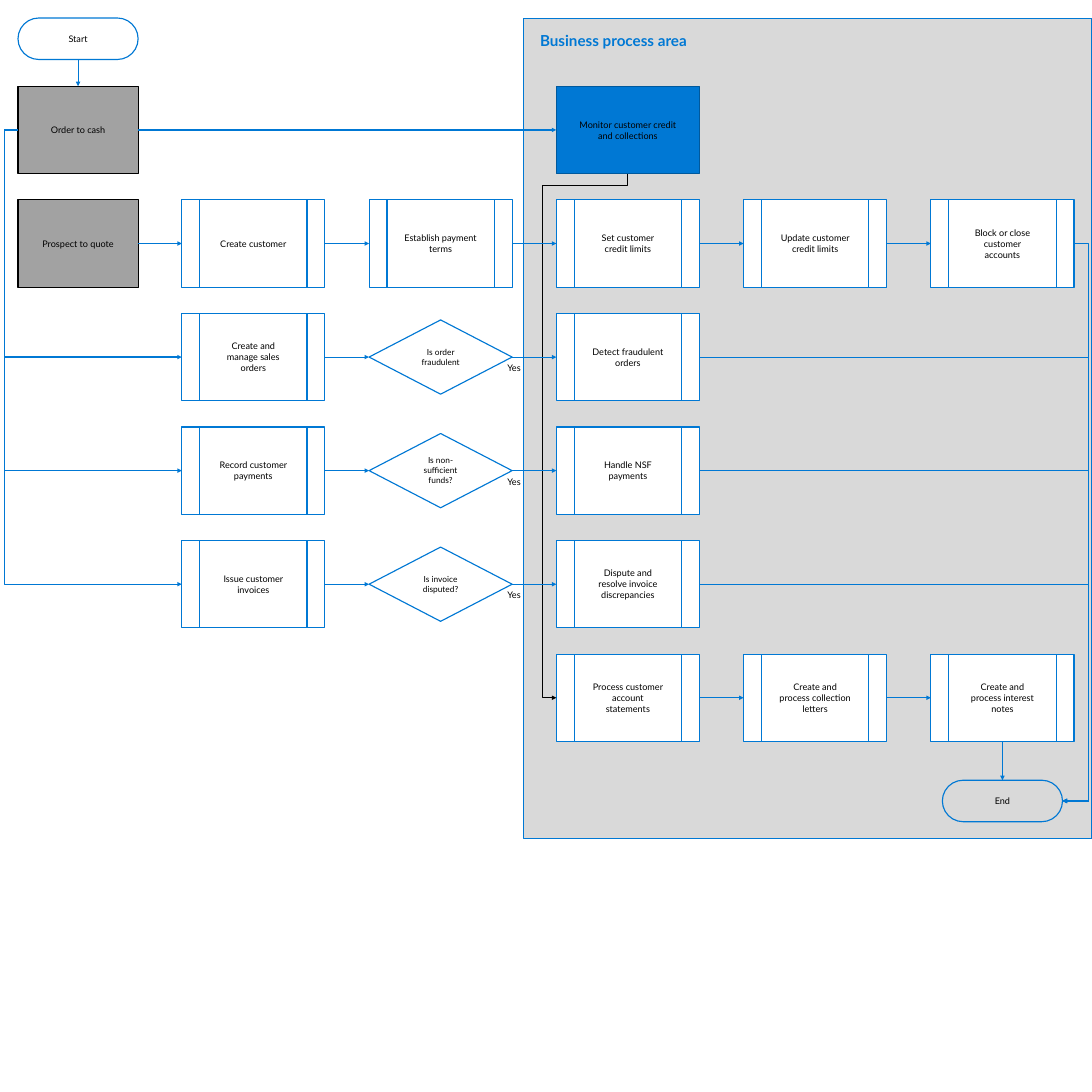
import lxml.etree
import pptx
import pptx.dml.color
import pptx.enum.shapes
import pptx.enum.text
import pptx.oxml.ns
import pptx.util

Inches = pptx.util.Inches
Kind = pptx.enum.shapes.MSO_SHAPE
Line = pptx.enum.shapes.MSO_CONNECTOR
Anchor = pptx.enum.text.MSO_ANCHOR
Align = pptx.enum.text.PP_ALIGN
qn = pptx.oxml.ns.qn

BLUE, DARK_BLUE, BLACK, WHITE = "0078D4", "00599D", "000000", "FFFFFF"
GRAY, LIGHT_GRAY = "A2A2A2", "D9D9D9"
STEP_W, STEP_H = 2.62, 1.6
SIDE_W, CAP_H, DIAMOND_H = 2.2, 0.76, 1.36
COLUMN_GAP, ROW_GAP = 3.43, 2.08
TOP, LEFT, BOTTOM, RIGHT = range(4)  # connection sites


def color(value):
    return pptx.dml.color.RGBColor.from_string(value)


def write(shape, text, size=12, ink=BLACK, bold=False, align=Align.CENTER,
          anchor=Anchor.MIDDLE, inset=(0.3, 0.24)):
    frame = shape.text_frame
    frame.word_wrap = True
    frame.vertical_anchor = anchor
    frame.margin_left = frame.margin_right = Inches(inset[0])
    frame.margin_top = frame.margin_bottom = Inches(inset[1])
    para = frame.paragraphs[0]
    para.alignment = align
    span = para.add_run()
    span.text = text
    span.font.name = "Lato"
    span.font.size = pptx.util.Pt(size)
    span.font.bold = bold
    span.font.color.rgb = color(ink)


def add_node(page, kind, box, text, fill=None, line=BLUE, **text_format):
    shape = page.shapes.add_shape(kind, *map(Inches, box))
    shape.shadow.inherit = False
    if fill:
        shape.fill.solid()
        shape.fill.fore_color.rgb = color(fill)
    else:
        shape.fill.background()
    shape.line.color.rgb = color(line)
    shape.line.width = pptx.util.Pt(1.5)
    write(shape, text, **text_format)
    return shape


def add_step(page, left, top, text):
    return add_node(page, Kind.FLOWCHART_PREDEFINED_PROCESS,
                    (left, top, STEP_W, STEP_H), text, fill=WHITE)


def add_decision(page, left, top, text):
    box = (left, top + (STEP_H - DIAMOND_H) / 2, STEP_W, DIAMOND_H)
    return add_node(page, Kind.DIAMOND, box, text, size=11)


def add_cap(page, left, top, text):
    """Place a rounded start or end node."""
    cap = add_node(page, Kind.ROUNDED_RECTANGLE, (left, top, SIDE_W, CAP_H), text)
    cap.adjustments[0] = 0.5
    return cap


def style_arrow(arrow, ink):
    arrow.line.color.rgb = color(ink)
    arrow.line.width = pptx.util.Pt(1.5)
    properties = arrow._element.spPr
    lxml.etree.SubElement(properties.find(qn("a:ln")), qn("a:tailEnd"), type="triangle")
    lxml.etree.SubElement(properties, qn("a:effectLst"))


def link(page, source, target, source_side=RIGHT, target_side=LEFT):
    arrow = page.shapes.add_connector(Line.STRAIGHT, 0, 0, 0, 0)
    arrow.begin_connect(source, source_side)
    arrow.end_connect(target, target_side)
    style_arrow(arrow, BLUE)


def link_row(page, nodes):
    for source, target in zip(nodes, nodes[1:]):
        link(page, source, target)


def add_elbow(page, start, end, bends, ink=BLUE):
    """Draw a bent arrow; bends are shares of its width and height."""
    arrow = page.shapes.add_connector(Line.ELBOW, *start, *end)
    geometry = arrow._element.spPr.find(qn("a:prstGeom"))
    geometry.set("prst", f"bentConnector{len(bends) + 2}")
    values = geometry.find(qn("a:avLst"))
    for number, bend in enumerate(bends, 1):
        lxml.etree.SubElement(values, qn("a:gd"), name=f"adj{number}",
                              fmla=f"val {round(bend * 100000)}")
    style_arrow(arrow, ink)
    return arrow


def side_point(shape, side):
    middle = shape.top + shape.height // 2
    return (shape.left if side == LEFT else shape.left + shape.width), middle


def route_around(page, source, source_side, target, target_side, lane):
    """Leave sideways, run along the vertical lane, then enter the target."""
    start, end = side_point(source, source_side), side_point(target, target_side)
    add_elbow(page, start, end, [(Inches(lane) - start[0]) / (end[0] - start[0])])


def route_down(page, source, target, drop, lane):
    """Drop below the source, run down the lane, then enter the target's left."""
    start_x, start_y = source.left + source.width // 2, source.top + source.height
    end_x, end_y = side_point(target, LEFT)
    length, depth = end_y - start_y, start_x - end_x
    left, top = (start_x + end_x - length) // 2, (start_y + end_y - depth) // 2
    bends = [Inches(drop) / length, (start_x - Inches(lane)) / depth]
    arrow = add_elbow(page, (left, top), (left + length, top + depth), bends, BLACK)
    arrow._element.spPr.find(qn("a:xfrm")).set("rot", str(90 * 60000))


def add_upstream(page, left, top):
    """Place the feeding processes; return the last node of each row."""
    row_tops = [top + 1.25 + ROW_GAP * row for row in range(5)]
    first, second = left + 3, left + 3 + COLUMN_GAP
    start = add_cap(page, left, top, "Start")
    order, prospect = [
        add_node(page, Kind.RECTANGLE, (left, row_top, SIDE_W, STEP_H), text,
                 fill=GRAY, line=BLACK)
        for row_top, text in zip(row_tops, ("Order to cash", "Prospect to quote"))]
    link(page, start, order, BOTTOM, TOP)
    customer = add_step(page, first, row_tops[1], "Create customer")
    terms = add_step(page, second, row_tops[1], "Establish payment terms")
    link_row(page, [prospect, customer, terms])
    checks = [("Create and manage sales orders", "Is order fraudulent"),
              ("Record customer payments", "Is non-sufficient funds?"),
              ("Issue customer invoices", "Is invoice disputed?")]
    row_ends = [order, terms]
    for row_top, (task, question) in zip(row_tops[2:], checks):
        step = add_step(page, first, row_top, task)
        decision = add_decision(page, second, row_top, question)
        link(page, step, decision)
        route_around(page, order, LEFT, step, LEFT, left - 0.25)
        row_ends.append(decision)
    return row_ends


def add_process_area(page, left, top, width, height):
    """Place the gray area and its steps; return the first node of each row."""
    add_node(page, Kind.RECTANGLE, (left, top, width, height),
             "Business process area", fill=LIGHT_GRAY, size=20, ink=BLUE,
             bold=True, align=Align.LEFT, anchor=Anchor.TOP)
    first, row_top = left + 0.6, top + 1.24
    monitor = add_node(page, Kind.RECTANGLE, (first, row_top, STEP_W, STEP_H),
                       "Monitor customer credit and collections",
                       fill=BLUE, line=DARK_BLUE)
    rows = [["Set customer credit limits", "Update customer credit limits",
             "Block or close customer accounts"],
            ["Detect fraudulent orders"],
            ["Handle NSF payments"],
            ["Dispute and resolve invoice discrepancies"],
            ["Process customer account statements",
             "Create and process collection letters",
             "Create and process interest notes"]]
    steps = [[add_step(page, first + COLUMN_GAP * column, row_top + ROW_GAP * row, text)
              for column, text in enumerate(texts)]
             for row, texts in enumerate(rows, 1)]
    end_left = first + 2 * COLUMN_GAP + (STEP_W - SIDE_W) / 2
    end = add_cap(page, end_left, top + 13.95, "End")
    for row in steps:
        link_row(page, row)
    for row in steps[:-1]:
        route_around(page, row[-1], RIGHT, end, RIGHT, left + width - 0.07)
    link(page, steps[-1][-1], end, BOTTOM, TOP)
    route_down(page, monitor, steps[-1][0], 0.21, left + 0.35)
    return [monitor] + [row[0] for row in steps]


def add_yes_labels(page, left, top):
    for row in range(3):
        box = (left, top + ROW_GAP * row, 0.51, 0.2)
        label = page.shapes.add_textbox(*map(Inches, box))
        write(label, "Yes", anchor=Anchor.TOP, inset=(0, 0))


def main():
    deck = pptx.Presentation()
    deck.slide_width = deck.slide_height = Inches(20)
    page = deck.slides.add_slide(deck.slide_layouts[6])
    area_entries = add_process_area(page, 9.59, 0.34, 10.41, 15.01)
    upstream_ends = add_upstream(page, 0.33, 0.33)
    for source, target in zip(upstream_ends, area_entries):
        link(page, source, target)
    add_yes_labels(page, 9.16, 6.64)
    deck.save("out.pptx")


if __name__ == "__main__":
    main()
